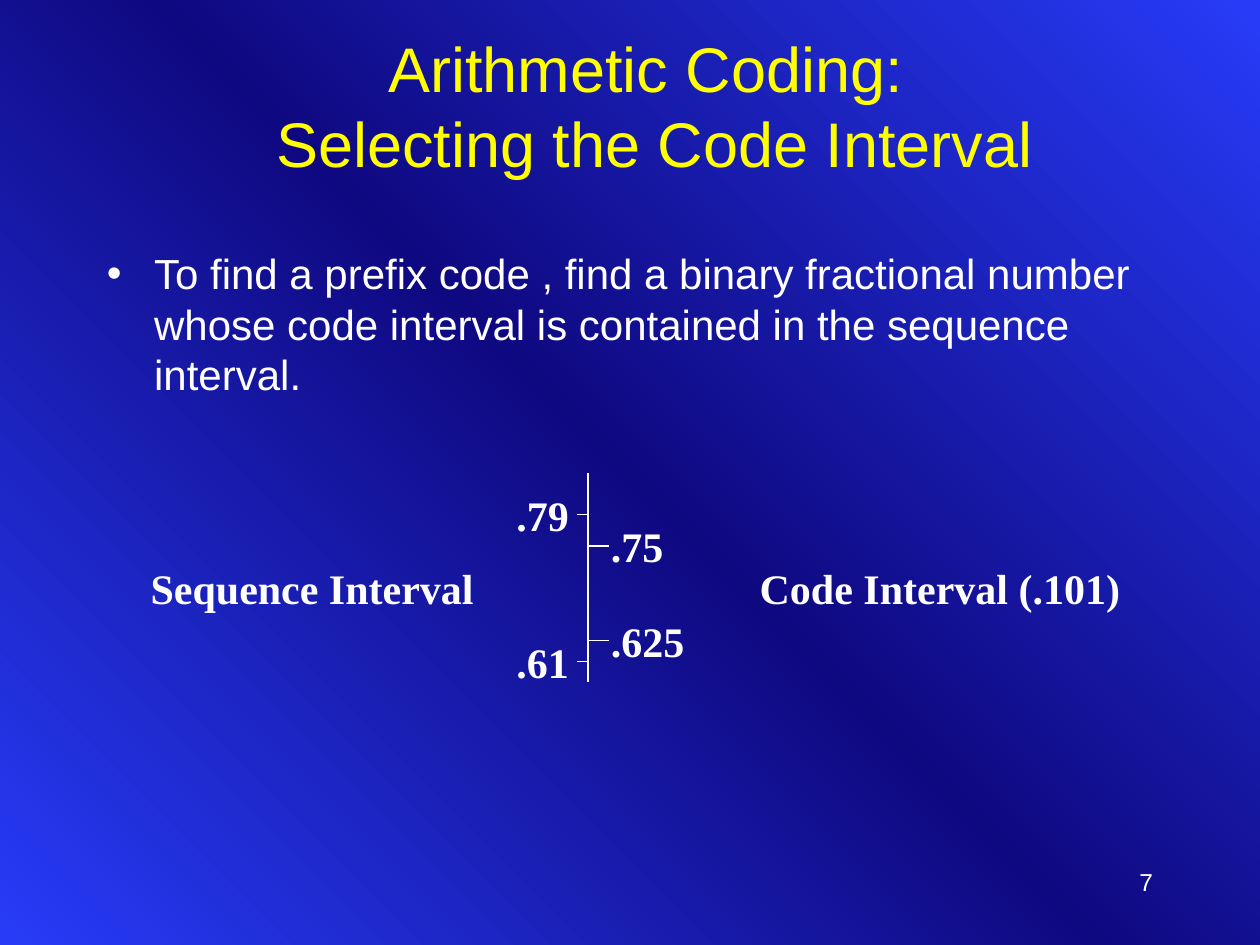
"""Build the slide on selecting the code interval in arithmetic coding."""
import copy

import pptx
import pptx.dml.color
import pptx.enum.shapes
import pptx.enum.text
import pptx.oxml.ns
import pptx.util
from lxml import etree

Pt = pptx.util.Pt
Align = pptx.enum.text.PP_ALIGN
Anchor = pptx.enum.text.MSO_ANCHOR
Fit = pptx.enum.text.MSO_AUTO_SIZE
qn = pptx.oxml.ns.qn


def rgb(code):
    return pptx.dml.color.RGBColor.from_string(code)


class Deck:
    sans, serif = "Arial", "Times New Roman"
    ink, head = "FFFFFF", "FFFF00"
    edge, mid = "283CF8", "0F0981"

    def __init__(self):
        self.prs = pptx.Presentation()
        self.prs.slide_width, self.prs.slide_height = Pt(720), Pt(540)
        self.slide = self.prs.slides.add_slide(self.prs.slide_layouts[5])

    def back(self):
        fill = self.slide.background.fill
        fill.gradient()
        fill.gradient_angle = 45
        first = self.slide.background._cSld.find(".//" + qn("a:gs"))
        first.addnext(copy.deepcopy(first))
        stops = zip(fill.gradient_stops, (0, 0.5, 1), (self.edge, self.mid, self.edge))
        for stop, pos, color in stops:
            stop.position = pos
            stop.color.rgb = rgb(color)

    def style(self, para, size, face, color, bold=False):
        font = para.font
        font.size, font.name, font.bold = Pt(size), face, bold
        font.color.rgb = rgb(color)

    def title(self, text, x, y, w, h):
        shape = self.slide.shapes.title
        shape.left, shape.top, shape.width, shape.height = map(Pt, (x, y, w, h))
        frame = shape.text_frame
        frame.text = text
        frame.auto_size = Fit.NONE
        frame.vertical_anchor = Anchor.MIDDLE
        para = frame.paragraphs[0]
        para.alignment = Align.CENTER
        self.style(para, 36, self.sans, self.head)

    def text(self, text, x, y, w, h, size=24, align=Align.LEFT):
        frame = self.slide.shapes.add_textbox(*map(Pt, (x, y, w, h))).text_frame
        frame.word_wrap = True
        frame.text = text
        para = frame.paragraphs[0]
        para.alignment = align
        self.style(para, size, self.sans, self.ink)
        return para

    def bullet(self, text, x, y, w, h):
        props = self.text(text, x, y, w, h)._p.get_or_add_pPr()
        props.set("marL", str(Pt(27)))
        props.set("indent", str(-Pt(27)))
        color = etree.Element(qn("a:buClr"))
        etree.SubElement(color, qn("a:srgbClr"), val=self.ink)
        face = etree.Element(qn("a:buFont"), typeface=self.sans)
        mark = etree.Element(qn("a:buChar"), char="•")
        for place, item in enumerate((color, face, mark)):
            props.insert(place, item)

    def label(self, text, x, y, w):
        frame = self.slide.shapes.add_textbox(*map(Pt, (x, y, w, 36))).text_frame
        frame.word_wrap = False
        frame.auto_size = Fit.SHAPE_TO_FIT_TEXT
        frame.vertical_anchor = Anchor.MIDDLE
        frame.text = text
        self.style(frame.paragraphs[0], 24, self.serif, self.ink, True)

    def line(self, x1, y1, x2, y2):
        kind = pptx.enum.shapes.MSO_CONNECTOR.STRAIGHT
        line = self.slide.shapes.add_connector(kind, *map(Pt, (x1, y1, x2, y2)))
        line.line.color.rgb = rgb(self.ink)
        line.line.width = Pt(0.75)
        etree.SubElement(line._element.spPr, qn("a:effectLst"))

    def tick(self, text, axis, y, end, x, w):
        self.line(axis, y, end, y)
        self.label(text, x, y - 18, w)


def main():
    deck = Deck()
    deck.back()
    deck.title("Arithmetic Coding:\v Selecting the Code Interval", 18, 12, 702, 96)
    deck.bullet(
        "To find a prefix code , find a binary fractional number whose code "
        "interval is contained in the sequence interval.", 54, 138, 606, 348)
    deck.text("7", 516, 492, 150, 36, 14, Align.RIGHT)

    axis = 336
    deck.line(axis, 390, axis, 270)
    for text, y in ((".61", 378), (".79", 294)):
        deck.tick(text, axis, y, axis - 6, 288, 45)
    for text, y, w in ((".625", 366, 57), (".75", 312, 45)):
        deck.tick(text, axis, y, axis + 12, 342, w)
    deck.label("Sequence Interval", 79, 318, 200)
    deck.label("Code Interval (.101)", 427, 318, 221)
    deck.prs.save("out.pptx")


if __name__ == "__main__":
    main()
